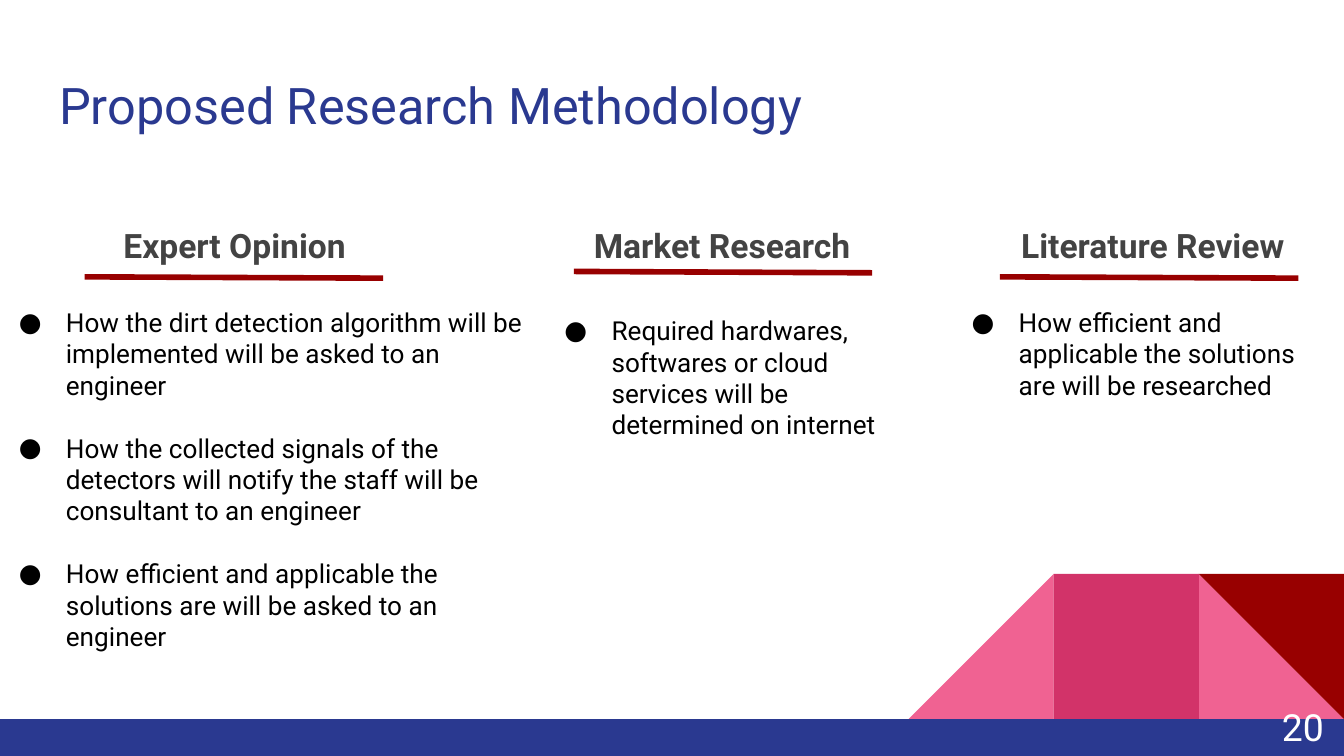
import pptx
import pptx.util
import pptx.dml.color
import pptx.enum.shapes
import pptx.enum.text
import pptx.oxml.ns
import lxml.etree

Inches = pptx.util.Inches
Pt = pptx.util.Pt
KIND = pptx.enum.shapes.MSO_SHAPE
ALIGN = pptx.enum.text.PP_ALIGN
ANCHOR = pptx.enum.text.MSO_ANCHOR
qn = pptx.oxml.ns.qn


def paint(part, color):
    part.rgb = pptx.dml.color.RGBColor.from_string(color)


def write(box, place, texts, size, color, bold=False, bullet=False, **form):
    box.left, box.top, box.width, box.height = map(Inches, place)
    frame = box.text_frame
    frame.text = "\n".join(texts)
    setup = {
        "word_wrap": True,
        "auto_size": pptx.enum.text.MSO_AUTO_SIZE.NONE,
        "vertical_anchor": form.pop("anchor", ANCHOR.TOP),
    }
    for side in ("left", "right", "top", "bottom"):
        setup["margin_" + side] = Inches(0.1)
    for key, value in setup.items():
        setattr(frame, key, value)
    for num, para in enumerate(frame.paragraphs):
        if bullet:
            props = para._p.get_or_add_pPr()
            props.set("marL", str(Inches(0.5)))
            props.set("indent", str(Inches(-0.35)))
            tint = lxml.etree.SubElement(props, qn("a:buClr"))
            lxml.etree.SubElement(tint, qn("a:srgbClr"), val=color)
            lxml.etree.SubElement(props, qn("a:buSzPts"), val=str(size * 100))
            lxml.etree.SubElement(props, qn("a:buFont"), typeface="Roboto")
            lxml.etree.SubElement(props, qn("a:buChar"), char="●")
        style = {"alignment": ALIGN.LEFT, "space_before": Pt(16.9 if num else 0)}
        for key, value in (style | form).items():
            setattr(para, key, value)
        look = {"name": "Roboto", "size": Pt(size), "bold": bold}
        for font in (para.font, *(run.font for run in para.runs)):
            for key, value in look.items():
                setattr(font, key, value)
            paint(font.color, color)


deck = pptx.Presentation()
deck.slide_width = Inches(10)
deck.slide_height = deck.slide_width * 9 // 16
slide = deck.slides.add_slide(deck.slide_layouts[4])
shapes = slide.shapes

side = 1.08
right, top = 10 - side, 4.27
blocks = [
    (KIND.RIGHT_TRIANGLE, right, top, side, side, 0, "F06292"),
    (KIND.RIGHT_TRIANGLE, right - 2 * side, top, side, side, 270, "F06292"),
    (KIND.RECTANGLE, right - side, top, side, side, 0, "D23369"),
    (KIND.RIGHT_TRIANGLE, right, top, side, side, 180, "980000"),
    (KIND.RECTANGLE, 0, 5.35, 10, 0.28, 0, "2A3990"),
]
for kind, left, high, wide, tall, turn, color in blocks:
    block = shapes.add_shape(kind, *map(Inches, (left, high, wide, tall)))
    block.rotation = turn
    block.shadow.inherit = False
    block.fill.solid()
    paint(block.fill.fore_color, color)
    block.line.fill.background()

write(shapes.title, (0.34, 0.45, 9.32, 0.66), ["Proposed Research Methodology"], 27, "2A3990")
write(shapes.add_textbox(0, 0, 0, 0), (9.35, 5.19, 0.6, 0.43), ["20"], 20, "FFFFFF",
      anchor=ANCHOR.MIDDLE, alignment=ALIGN.RIGHT)

columns = [
    ("Expert Opinion", 0.82, 0.63, 2.06, 1, (-0.11, 2.18, 4.13, 2.79), [
        "How the dirt detection algorithm will be implemented will be asked to an engineer",
        "How the collected signals of the detectors will notify the staff will be consultant to an engineer",
        "How efficient and applicable the solutions are will be asked to an engineer",
    ]),
    ("Market Research", 4.32, 4.27, 2.02, 2, (3.95, 2.24, 2.85, 1.14), [
        "Required hardwares, softwares or cloud services will be determined on internet",
    ]),
    ("Literature Review", 7.5, 7.44, 2.06, 4, (6.98, 2.18, 2.97, 0.91), [
        "How efficient and applicable the solutions are will be researched",
    ]),
]
holders = {holder.placeholder_format.idx: holder for holder in slide.placeholders}
for head, left, start, high, idx, place, points in columns:
    write(holders[idx], place, points, 14, "000000", bullet=True)
    write(shapes.add_textbox(0, 0, 0, 0), (left, 1.53, 2.97, 0.5), [head], 18, "434343",
          bold=True, line_spacing=1.15, space_after=Pt(12))
    rule = shapes.add_connector(
        pptx.enum.shapes.MSO_CONNECTOR.STRAIGHT,
        *map(Inches, (start + 2.22, high + 0.01, start, high)))
    paint(rule.line.color, "980000")
    rule.line.width = Pt(3)
    lxml.etree.SubElement(rule._element.spPr, qn("a:effectLst"))

spare = holders[3]._element
spare.getparent().remove(spare)

deck.save("out.pptx")
